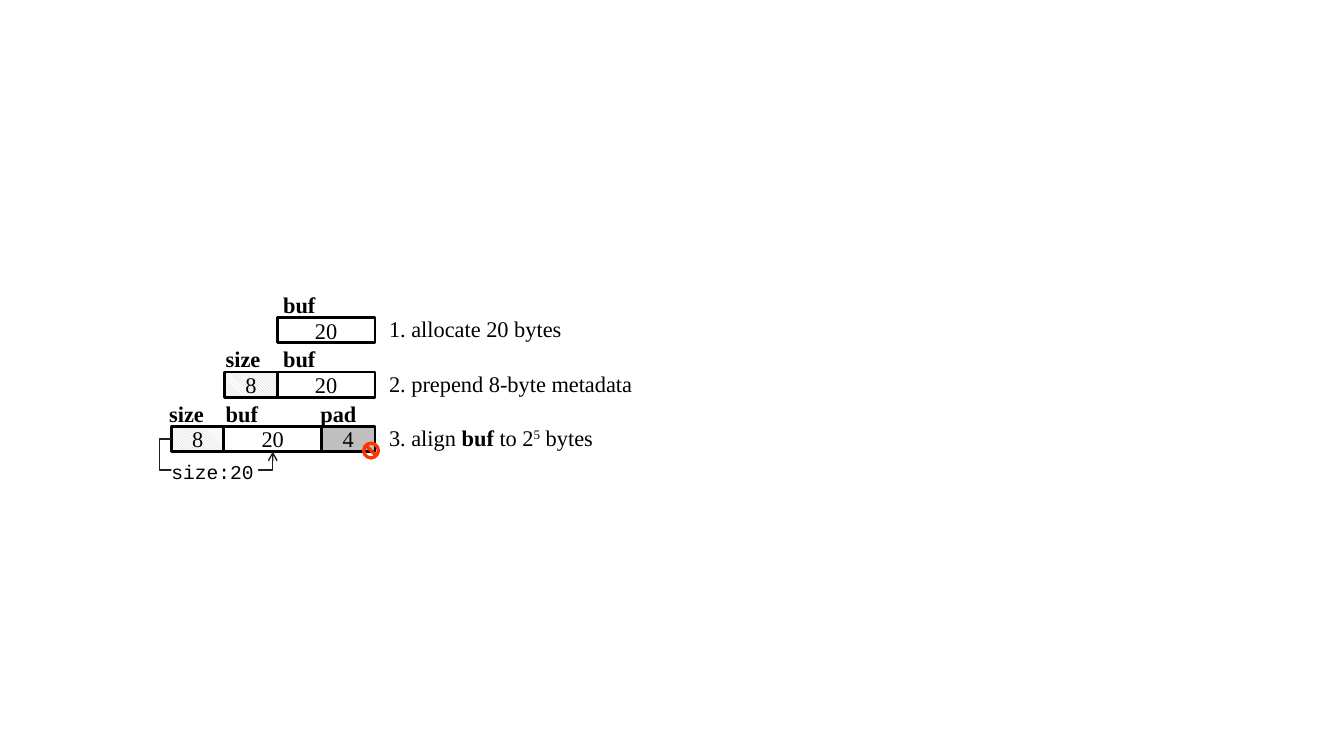
from lxml import etree
from pptx import Presentation
from pptx.dml.color import RGBColor
from pptx.enum.dml import MSO_PATTERN
from pptx.enum.shapes import MSO_CONNECTOR, MSO_SHAPE
from pptx.enum.text import MSO_ANCHOR, MSO_AUTO_SIZE, PP_ALIGN
from pptx.oxml.ns import qn
from pptx.util import Pt

PX = 9144
RECTANGLE = MSO_SHAPE.RECTANGLE
NO_SYMBOL = MSO_SHAPE.NO_SYMBOL
ELBOW = MSO_CONNECTOR.ELBOW
HATCH = MSO_PATTERN.LIGHT_DOWNWARD_DIAGONAL
LEFT, CENTER = PP_ALIGN.LEFT, PP_ALIGN.CENTER
TOP, MIDDLE = MSO_ANCHOR.TOP, MSO_ANCHOR.MIDDLE
GROW = MSO_AUTO_SIZE.SHAPE_TO_FIT_TEXT
LEFT_SITE, BOTTOM_SITE = 1, 2

BLACK, WHITE, GRAY, RED, CHARCOAL = "000000", "FFFFFF", "BFBFBF", "FF3300", "202020"
SERIF, MONO = "Times New Roman", "Courier New"

ROW_TOP, ROW_PITCH, CELL_HEIGHT, TEXT_HEIGHT = 315, 54, 25, 37
LABEL_RISE, STEP_RISE, STEP_LEFT = 31, 7, 376


def color(value):
    return RGBColor.from_string(value)


def write(shape, runs, size=16, font=SERIF, bold=False, align=LEFT, anchor=TOP):
    frame = shape.text_frame
    frame.word_wrap = True
    frame.vertical_anchor = anchor
    paragraph = frame.paragraphs[0]
    paragraph.alignment = align
    for text, style in runs:
        run = paragraph.add_run()
        run.text = text
        run.font.size = Pt(size)
        run.font.name = font
        run.font.bold = bold or style == "bold"
        run.font.color.rgb = color(BLACK)
        if style == "superscript":
            run.font._element.set("baseline", "30000")


class Diagram:
    def __init__(self, slide):
        self.shapes = slide.shapes

    def shape(self, kind, left, top, width, height, fill):
        shape = self.shapes.add_shape(kind, left * PX, top * PX, width * PX, height * PX)
        shape.shadow.inherit = False
        shape.fill.solid()
        shape.fill.fore_color.rgb = color(fill)
        shape.line.fill.background()
        return shape

    def cell(self, left, top, width, text, fill):
        cell = self.shape(RECTANGLE, left, top, width, CELL_HEIGHT, WHITE if fill == HATCH else fill)
        if fill == HATCH:
            cell.fill.patterned()
            cell.fill.pattern = HATCH
            cell.fill.fore_color.rgb = color(GRAY)
            cell.fill.back_color.rgb = color(WHITE)
        cell.line.color.rgb = color(BLACK)
        cell.line.width = Pt(2)
        write(cell, [(text, "")], align=CENTER, anchor=MIDDLE)
        return cell

    def text(self, left, top, width, runs, bold=False):
        box = self.shapes.add_textbox(left * PX, top * PX, width * PX, TEXT_HEIGHT * PX)
        write(box, runs, bold=bold)
        box.text_frame.auto_size = GROW

    def tag(self, left, top, width, height, text):
        tag = self.shape(RECTANGLE, left, top, width, height, WHITE)
        frame = tag.text_frame
        frame.margin_left = frame.margin_right = frame.margin_top = frame.margin_bottom = 0
        write(tag, [(text, "")], size=14, font=MONO)
        frame.auto_size = GROW

    def bent_arrow(self, source, target, adjustments):
        arrow = self.shapes.add_connector(ELBOW, 0, 0, 0, 0)
        arrow.begin_connect(source, LEFT_SITE)
        arrow.end_connect(target, BOTTOM_SITE)
        arrow.line.color.rgb = color(CHARCOAL)
        arrow.line.width = Pt(1)
        properties = arrow._element.spPr
        geometry = properties.find(qn("a:prstGeom"))
        geometry.set("prst", "bentConnector4")
        guides = geometry.find(qn("a:avLst"))
        for number, value in enumerate(adjustments, 1):
            etree.SubElement(guides, qn("a:gd"), name=f"adj{number}", fmla=f"val {value}")
        etree.SubElement(properties.find(qn("a:ln")), qn("a:tailEnd"), type="arrow")
        etree.SubElement(properties, qn("a:effectLst"))


def main():
    presentation = Presentation()
    presentation.slide_width = 1333 * PX
    presentation.slide_height = 750 * PX
    diagram = Diagram(presentation.slides.add_slide(presentation.slide_layouts[6]))

    steps = [
        ([("1. allocate 20 bytes", "")],
         [(275, 97, "20", WHITE, "buf", 271, 56)]),
        ([("2. prepend 8-byte metadata", "")],
         [(223, 52, "8", HATCH, "size", 214, 56),
          (275, 97, "20", WHITE, "buf", 271, 56)]),
        ([("3. align ", ""), ("buf", "bold"), (" to 2", ""), ("5", "superscript"), (" bytes", "")],
         [(170, 52, "8", HATCH, "size", 158, 56),
          (222, 97, "20", WHITE, "buf", 214, 56),
          (319, 53, "4", GRAY, "pad", 308, 74)]),
    ]
    for row, (description, fields) in enumerate(steps):
        top = ROW_TOP + row * ROW_PITCH
        cells = []
        for left, width, count, fill, label, label_left, label_width in fields:
            cells.append(diagram.cell(left, top, width, count, fill))
            diagram.text(label_left, top - LABEL_RISE, label_width, [(label, "")], bold=True)
        diagram.text(STEP_LEFT, top - STEP_RISE, 308, description)

    size_cell, buffer_cell, _ = cells
    diagram.bent_arrow(size_cell, buffer_cell, (-12000, 246100))
    diagram.tag(170, 456, 86, 24, "size:20")
    diagram.shape(NO_SYMBOL, 359, 438, 18, 18, RED)
    presentation.save("out.pptx")


if __name__ == "__main__":
    main()
